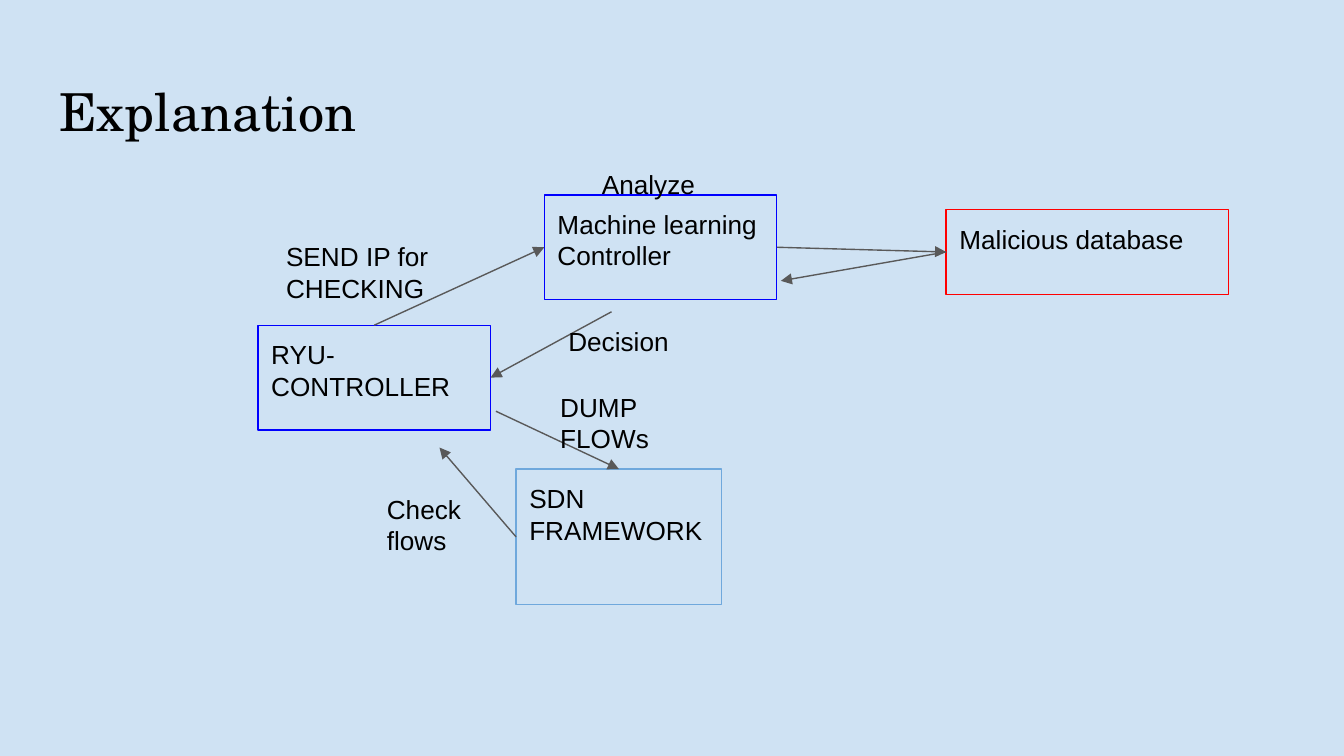
from dataclasses import dataclass
from typing import Optional

from pptx import Presentation
from pptx import util as u
from pptx.dml.color import RGBColor
from pptx.enum import shapes, text
from pptx.oxml.ns import qn
from lxml import etree

BACKGROUND = RGBColor(0xCF, 0xE2, 0xF3)
BLACK = RGBColor(0x00, 0x00, 0x00)
GRAY = RGBColor(0x59, 0x59, 0x59)
BLUE = RGBColor(0x00, 0x00, 0xFF)
LIGHT_BLUE = RGBColor(0x6F, 0xA8, 0xDC)
RED = RGBColor(0xFF, 0x00, 0x00)
LINE_WIDTH = u.Pt(0.75)
PAGE_WIDTH = 10
PAGE_HEIGHT = PAGE_WIDTH * 9 / 16
TOP, LEFT, RIGHT = 0, 1, 3


@dataclass
class Node:
    name: str
    lines: list[str]
    place: tuple[float, float, float, float]
    color: RGBColor


@dataclass
class Label:
    words: str
    place: tuple[float, float, float, float]


@dataclass
class End:
    """A node side, or a free point when no node is named."""
    node: Optional[str] = None
    side: int = TOP
    point: tuple[float, float] = (0, 0)


NODES = [
    Node("framework", ["SDN FRAMEWORK"], (3.84, 3.49, 1.53, 1.01), LIGHT_BLUE),
    Node("ryu", ["RYU-", "CONTROLLER"], (1.92, 2.42, 1.73, 0.78), BLUE),
    Node("learning", ["Machine learning", "Controller"], (4.05, 1.45, 1.73, 0.78), BLUE),
    Node("database", ["Malicious database"], (7.04, 1.56, 2.1, 0.63), RED),
]

ARROWS = [
    (End("framework", LEFT), End(point=(3.27, 3.33))),
    (End("ryu", TOP), End("learning", LEFT)),
    (End("learning", RIGHT), End("database", LEFT)),
    (End("database", LEFT), End(point=(5.81, 2.09))),
    (End(point=(4.55, 2.32)), End("ryu", RIGHT)),
    (End(point=(3.69, 3.06)), End("framework", TOP)),
]

LABELS = [
    Label("Check flows", (2.78, 3.57, 1.01, 0.42)),
    Label("SEND IP for CHECKING", (2.03, 1.69, 1.81, 0.5)),
    Label("Analyze", (4.38, 1.15, 1.72, 0.22)),
    Label("Decision", (4.13, 2.32, 1.01, 0.22)),
    Label("DUMP FLOWs", (4.07, 2.81, 1.07, 0.28)),
]


def inches(values):
    return [u.Inches(value) for value in values]


def write(box, lines: list[str], size: float = 14, font: str = "Arial",
          color: RGBColor = BLACK) -> None:
    frame = box.text_frame
    frame.word_wrap = True
    frame.auto_size = text.MSO_AUTO_SIZE.NONE
    frame.vertical_anchor = text.MSO_ANCHOR.TOP
    frame.margin_left = frame.margin_right = u.Inches(0.1)
    frame.margin_top = frame.margin_bottom = u.Inches(0.1)
    for index, line in enumerate(lines):
        para = frame.add_paragraph() if index else frame.paragraphs[0]
        para.alignment = text.PP_ALIGN.LEFT
        para.line_spacing = 1.0
        span = para.add_run()
        span.text = line
        span.font.size = u.Pt(size)
        span.font.name = font
        span.font.color.rgb = color


def draw_node(page, node: Node):
    box = page.shapes.add_shape(shapes.MSO_SHAPE.RECTANGLE, *inches(node.place))
    box.shadow.inherit = False
    box.fill.background()
    box.line.color.rgb = node.color
    box.line.width = LINE_WIDTH
    write(box, node.lines)
    return box


def draw_arrow(page, boxes: dict, start: End, end: End) -> None:
    arrow = page.shapes.add_connector(
        shapes.MSO_CONNECTOR.STRAIGHT, *inches(start.point + end.point))
    if start.node:
        arrow.begin_connect(boxes[start.node], start.side)
    if end.node:
        arrow.end_connect(boxes[end.node], end.side)
    arrow.line.color.rgb = GRAY
    arrow.line.width = LINE_WIDTH
    etree.SubElement(arrow.line._get_or_add_ln(), qn("a:tailEnd"), type="triangle")
    etree.SubElement(arrow._element.spPr, qn("a:effectLst"))


def draw_label(page, label: Label) -> None:
    write(page.shapes.add_textbox(*inches(label.place)), [label.words])


def main() -> None:
    deck = Presentation()
    deck.slide_width, deck.slide_height = inches((PAGE_WIDTH, PAGE_HEIGHT))
    page = deck.slides.add_slide(deck.slide_layouts[5])
    page.background.fill.solid()
    page.background.fill.fore_color.rgb = BACKGROUND

    # Title
    title = page.shapes.title
    title.left, title.top, title.width, title.height = inches((0.34, 0.49, 9.32, 0.63))
    write(title, ["Explanation"], size=28, font="TeX Gyre Schola")

    # Flow diagram
    boxes = {node.name: draw_node(page, node) for node in NODES}
    for start, end in ARROWS:
        draw_arrow(page, boxes, start, end)
    for label in LABELS:
        draw_label(page, label)

    deck.save("out.pptx")


if __name__ == "__main__":
    main()
